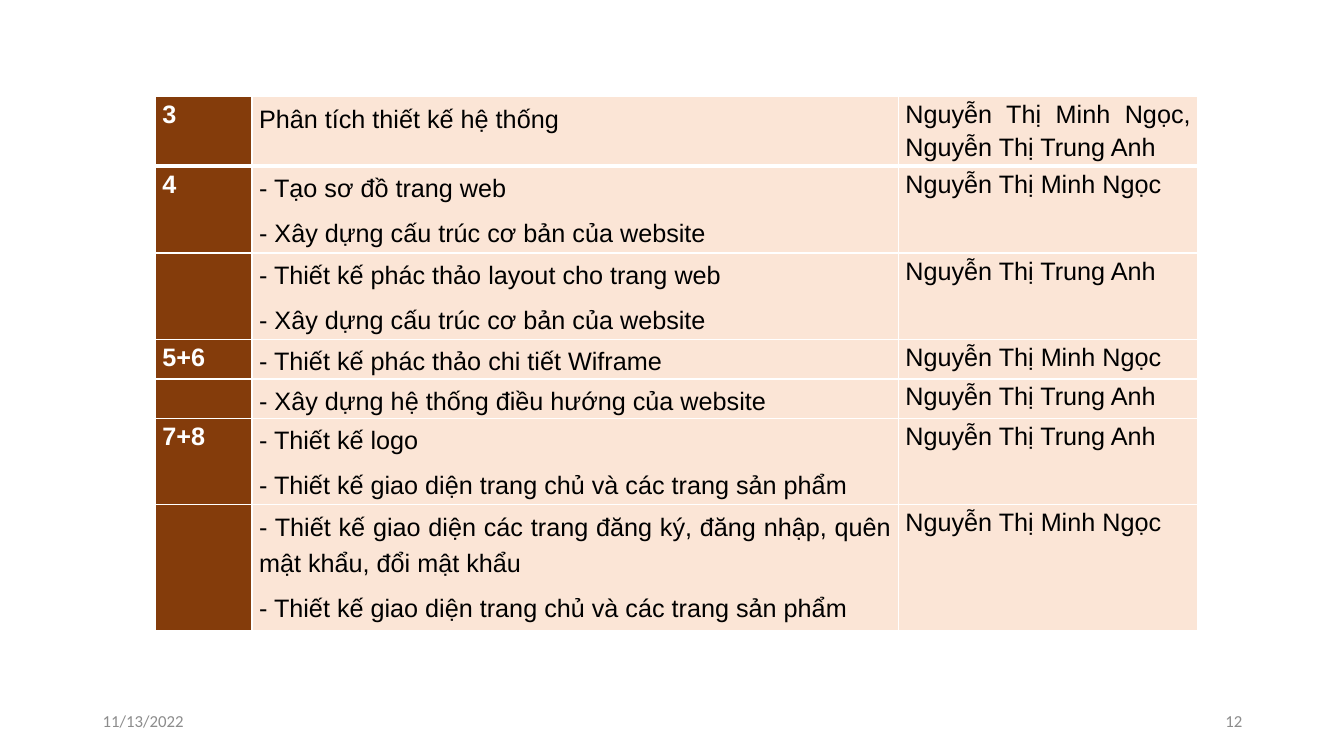
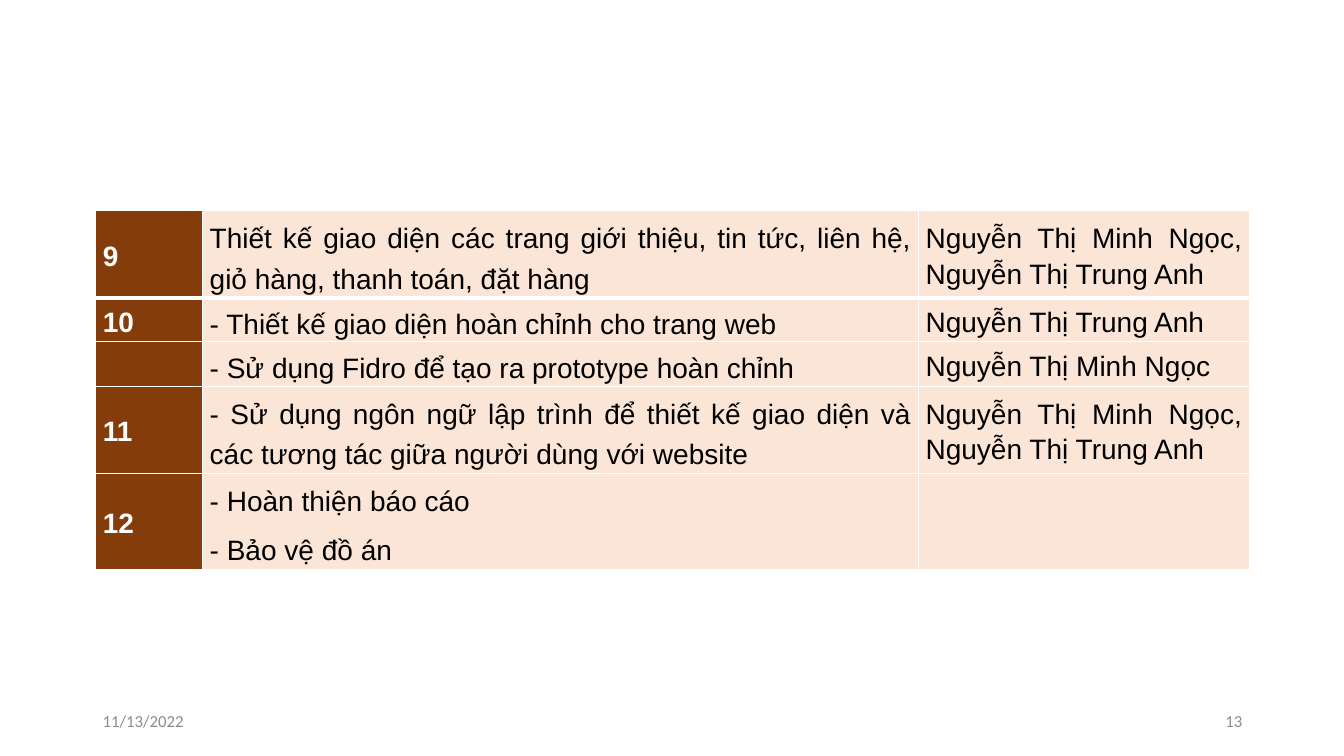
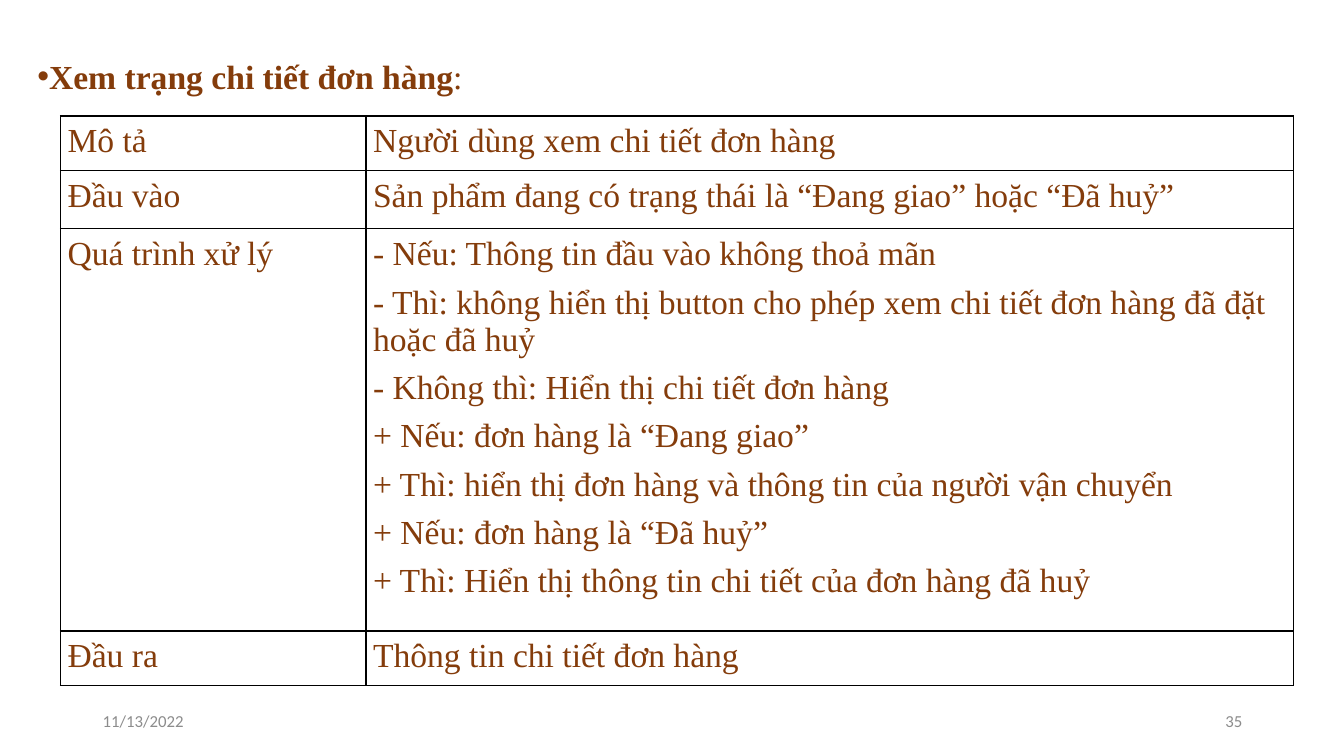
from lxml import etree
from pptx import Presentation
from pptx.dml.color import RGBColor
from pptx.enum.text import MSO_ANCHOR, MSO_AUTO_SIZE, PP_ALIGN
from pptx.oxml.ns import qn
from pptx.util import Inches, Pt

TOP, MIDDLE = MSO_ANCHOR.TOP, MSO_ANCHOR.MIDDLE
LEFT, RIGHT, JUSTIFY = PP_ALIGN.LEFT, PP_ALIGN.RIGHT, PP_ALIGN.JUSTIFY
FIXED = MSO_AUTO_SIZE.NONE
TITLE_ONLY, BLANK = 5, 6


class Theme:
    brown, peach, white = "843C0B", "FBE5D6", "FFFFFF"
    black, gray = "000000", "8C8C8C"
    sans, serif, small = "Arial", "Times New Roman", "Calibri"
    note, plan, wide, head = 12, 18, 20, 24


DATE = "11/13/2022"
NGOC, ANH = "Nguyễn Thị Minh Ngọc", "Nguyễn Thị Trung Anh"
BOTH = f"{NGOC}, {ANH}"
BASE = "- Xây dựng cấu trúc cơ bản của website"
HOME = "- Thiết kế giao diện trang chủ và các trang sản phẩm"

WEEK = {"size": Theme.plan, "name": Theme.sans, "color": Theme.white, "bold": True}
BODY = {**WEEK, "color": Theme.black, "bold": False}
SPEC = {"size": Theme.head, "name": Theme.serif, "color": Theme.brown, "bold": False}
FOOT = {"size": Theme.note, "name": Theme.small, "color": Theme.gray, "bold": False}

WEEK_COL = {"font": WEEK, "fill": Theme.brown, "para": {"alignment": JUSTIFY, "line_spacing": 1.15}}
TASK_COL = {"font": BODY, "fill": Theme.peach, "para": {"alignment": JUSTIFY, "line_spacing": 1.3}, "gap": 6}
NAME_COL = {**WEEK_COL, "font": BODY, "fill": Theme.peach}
SPEC_COL = {"font": SPEC, "fill": None, "para": {"alignment": LEFT}, "gap": 8}

PLAN = {"styles": [WEEK_COL, TASK_COL, NAME_COL], "line": Theme.white, "rule": 3, "pad": 0}

PAGES = [
    {
        "page": 12,
        "table": {
            **PLAN, "at": (1.54, 0.96), "size": Theme.plan, "anchor": TOP,
            "cols": [0.96, 6.41, 2.97],
            "rows": [
                (0.69, ["3"], ["Phân tích thiết kế hệ thống"], [BOTH]),
                (0.86, ["4"], ["- Tạo sơ đồ trang web", BASE], [NGOC]),
                (0.86, [], ["- Thiết kế phác thảo layout cho trang web", BASE], [ANH]),
                (0.39, ["5+6"], ["- Thiết kế phác thảo chi tiết Wiframe"], [NGOC]),
                (0.39, [], ["- Xây dựng hệ thống điều hướng của website"], [ANH]),
                (0.86, ["7+8"], ["- Thiết kế logo", HOME], [ANH]),
                (1.25, [], ["- Thiết kế giao diện các trang đăng ký, đăng nhập, "
                            "quên mật khẩu, đổi mật khẩu", HOME], [NGOC]),
            ],
        },
    },
    {
        "page": 13,
        "table": {
            **PLAN, "at": (0.95, 2.09), "size": Theme.wide, "anchor": MIDDLE,
            "cols": [1.06, 7.1, 3.28],
            "rows": [
                (0.86, ["9"], ["Thiết kế giao diện các trang giới thiệu, tin tức, "
                               "liên hệ, giỏ hàng, thanh toán, đặt hàng"], [BOTH]),
                (0.43, ["10"], ["- Thiết kế giao diện hoàn chỉnh cho trang web"], [ANH]),
                (0.44, [], ["- Sử dụng Fidro để tạo ra prototype hoàn chỉnh"], [NGOC]),
                (0.86, ["11"], ["- Sử dụng ngôn ngữ lập trình để thiết kế giao diện và "
                                "các tương tác giữa người dùng với website"], [BOTH]),
                (0.95, ["12"], ["- Hoàn thiện báo cáo", "- Bảo vệ đồ án"], []),
            ],
        },
    },
    {
        "page": 35,
        "title": "Xem trạng chi tiết đơn hàng",
        "table": {
            "styles": [SPEC_COL, SPEC_COL], "line": Theme.black, "rule": 1, "pad": 0.07,
            "at": (0.6, 1.15), "size": Theme.head, "anchor": TOP,
            "cols": [3.03, 9.2],
            "rows": [
                (0.54, ["Mô tả"], ["Người dùng xem chi tiết đơn hàng"]),
                (0.58, ["Đầu vào"], ["Sản phẩm đang có trạng thái là “Đang giao” hoặc “Đã huỷ”"]),
                (3.99, ["Quá trình xử lý"], [
                    "- Nếu: Thông tin đầu vào không thoả mãn",
                    "- Thì: không hiển thị button cho phép xem chi tiết đơn hàng đã đặt hoặc đã huỷ",
                    "- Không thì: Hiển thị chi tiết đơn hàng",
                    "+ Nếu: đơn hàng là “Đang giao”",
                    "+ Thì: hiển thị đơn hàng và thông tin của người vận chuyển",
                    "+ Nếu: đơn hàng là “Đã huỷ”",
                    "+ Thì: Hiển thị thông tin chi tiết của đơn hàng đã huỷ",
                ]),
                (0.54, ["Đầu ra"], ["Thông tin chi tiết đơn hàng"]),
            ],
        },
    },
]


def apply(item, values):
    for key, value in values.items():
        setattr(item, key, value)


def add_run(para, text, look):
    run = para.add_run()
    run.text = text
    apply(run.font, {"size": Pt(look["size"]), "name": look["name"], "bold": look["bold"]})
    run.font.color.rgb = RGBColor.from_string(look["color"])


def border(cell, color, widths):
    props = cell._tc.get_or_add_tcPr()
    for spot, (side, width) in enumerate(zip("LRTB", widths)):
        line = etree.Element(qn(f"a:ln{side}"), w=str(Pt(width)))
        fill = etree.SubElement(line, qn("a:solidFill"))
        etree.SubElement(fill, qn("a:srgbClr"), val=color)
        props.insert(spot, line)


def fill_cell(cell, lines, style, size):
    if style["fill"]:
        cell.fill.solid()
        cell.fill.fore_color.rgb = RGBColor.from_string(style["fill"])
    else:
        cell.fill.background()
    frame = cell.text_frame
    for spot, text in enumerate(lines):
        para = frame.add_paragraph() if spot else frame.paragraphs[0]
        apply(para, style["para"])
        if spot:
            para.space_before = Pt(style["gap"])
        add_run(para, text, {**style["font"], "size": size})


def add_grid(slide, data):
    cols, rows = data["cols"], data["rows"]
    high = sum(row[0] for row in rows)
    left, top = data["at"]
    table = slide.shapes.add_table(
        len(rows), len(cols), Inches(left), Inches(top), Inches(sum(cols)), Inches(high)
    ).table
    apply(table, {"first_row": False, "horz_banding": False})
    for col, width in zip(table.columns, cols):
        col.width = Inches(width)
    pad = Inches(data["pad"])
    form = {
        "margin_left": Inches(0.07), "margin_right": Inches(0.07),
        "margin_top": pad, "margin_bottom": pad, "vertical_anchor": data["anchor"],
    }
    for r, (height, *texts) in enumerate(rows):
        table.rows[r].height = Inches(height)
        above = data["rule"] if r == 1 else 1
        below = data["rule"] if r == 0 else 1
        for c, (lines, style) in enumerate(zip(texts, data["styles"])):
            cell = table.cell(r, c)
            apply(cell, form)
            fill_cell(cell, lines, style, data["size"])
            border(cell, data["line"], (1, 1, above, below))


def add_title(slide, text):
    title = slide.shapes.title
    apply(title, {"left": Inches(0.27), "top": Inches(0.15),
                  "width": Inches(4.46), "height": Inches(1.21)})
    frame = title.text_frame
    apply(frame, {"word_wrap": False, "auto_size": FIXED, "vertical_anchor": MIDDLE,
                  "margin_left": Inches(0.1), "margin_right": Inches(0.1),
                  "margin_top": 0, "margin_bottom": 0})
    para = frame.paragraphs[0]
    para.alignment = LEFT
    props = para._p.get_or_add_pPr()
    props.set("marL", "0")
    props.set("indent", "0")
    etree.SubElement(props, qn("a:buFont"), typeface=Theme.sans)
    etree.SubElement(props, qn("a:buChar"), char="•")
    add_run(para, text, {**SPEC, "bold": True})
    add_run(para, ":", SPEC)


def add_foot(slide, page):
    for left, text, align in ((0.92, DATE, LEFT), (9.42, str(page), RIGHT)):
        box = slide.shapes.add_textbox(Inches(left), Inches(6.95), Inches(3), Inches(0.4))
        apply(box.text_frame, {"word_wrap": True, "vertical_anchor": MIDDLE})
        para = box.text_frame.paragraphs[0]
        para.alignment = align
        add_run(para, text, FOOT)


def main():
    deck = Presentation()
    apply(deck, {"slide_width": Inches(13.33), "slide_height": Inches(7.5)})
    for page in PAGES:
        layout = TITLE_ONLY if "title" in page else BLANK
        slide = deck.slides.add_slide(deck.slide_layouts[layout])
        add_grid(slide, page["table"])
        if "title" in page:
            add_title(slide, page["title"])
        add_foot(slide, page["page"])
    deck.save("out.pptx")


if __name__ == "__main__":
    main()
